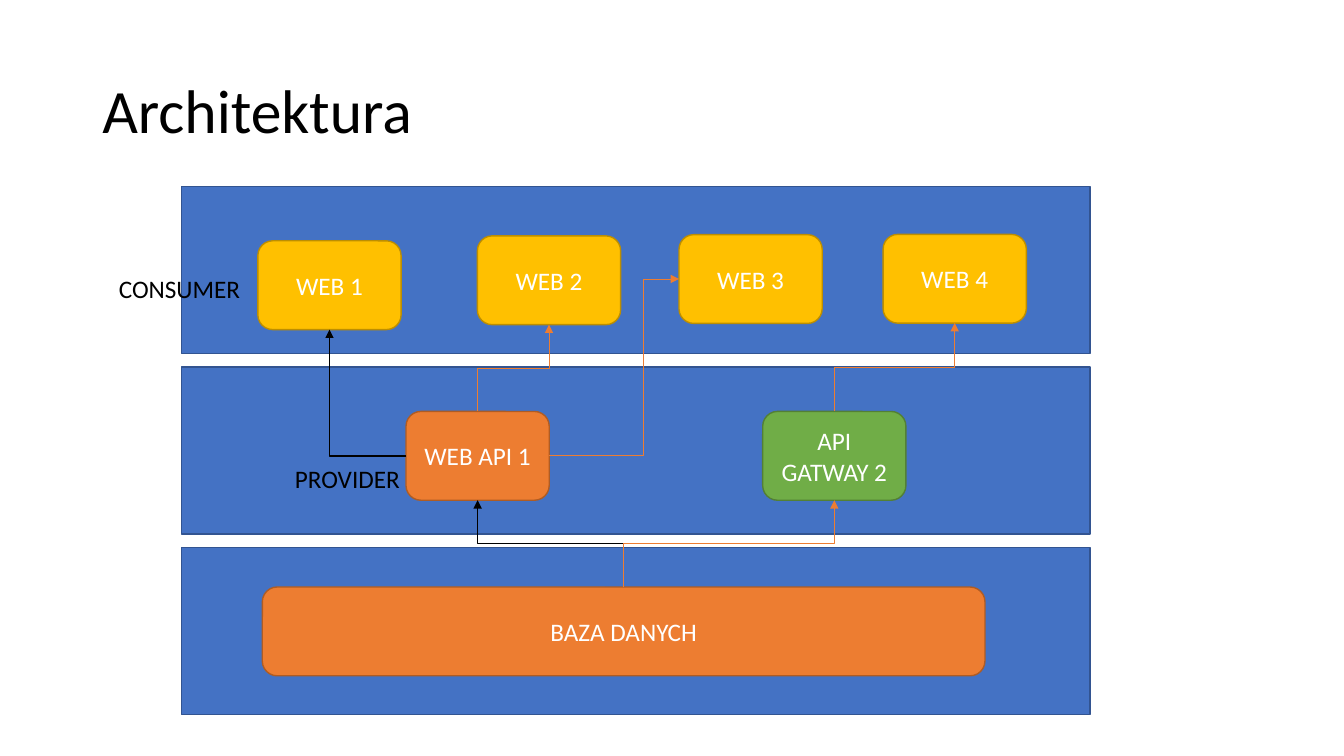
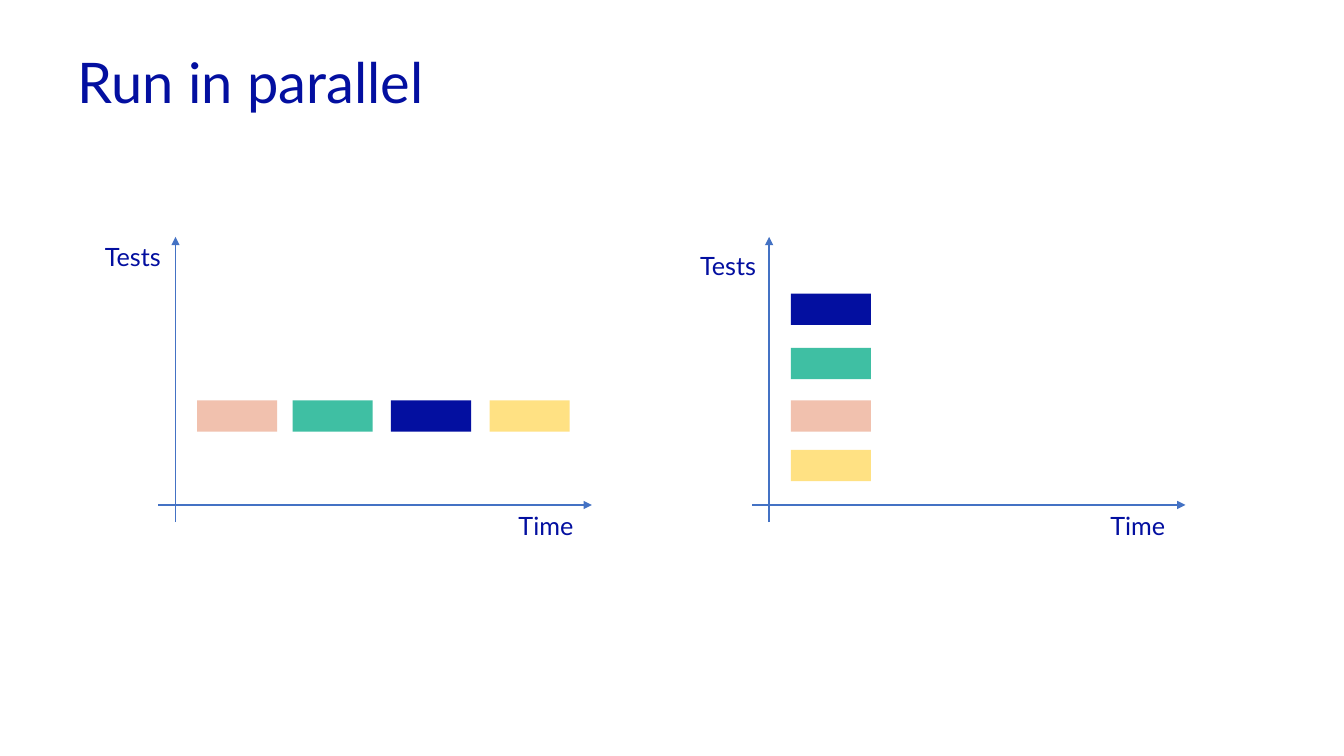
import pptx
import pptx.dml.color
import pptx.enum.shapes
import pptx.enum.text
import pptx.oxml.ns
import pptx.util
from lxml import etree

Pt = pptx.util.Pt
SHAPES = pptx.enum.shapes.MSO_SHAPE
CONNECTORS = pptx.enum.shapes.MSO_CONNECTOR
ANCHORS = pptx.enum.text.MSO_ANCHOR
ALIGNMENTS = pptx.enum.text.PP_ALIGN
qn = pptx.oxml.ns.qn

COLORS = {
    "black": "000000", "white": "FFFFFF",
    "blue": "4472C4", "blue edge": "325491",
    "gold": "FFC000", "gold edge": "BD8E00",
    "orange": "ED7D31", "orange edge": "AF5C24",
    "green": "70AD47", "green edge": "538035",
    "navy": "030FA0", "teal": "3FBFA3", "peach": "F1C1AE", "yellow": "FFE183",
}

# Connection sites of a box
TOP, LEFT, BOTTOM, RIGHT = range(4)

NODE_SIZE = (102.3, 63.4)
BAR_SIZE = (57.2, 22.4)


def rgb(name):
    return pptx.dml.color.RGBColor.from_string(COLORS[name])


def write(shape, text, font, size, color, align=ALIGNMENTS.LEFT):
    frame = shape.text_frame
    frame.word_wrap = True
    frame.text = text
    paragraph = frame.paragraphs[0]
    paragraph.alignment = align
    paragraph.font.name = font
    paragraph.font.size = Pt(size)
    paragraph.font.color.rgb = rgb(color)
    return paragraph


def add_label(slide, text, left, top, width, font, color):
    box = slide.shapes.add_textbox(Pt(left), Pt(top), Pt(width), Pt(29))
    write(box, text, font, 18, color)


def add_title(slide, text, left, height, font, size, color):
    box = slide.shapes.add_textbox(Pt(left), Pt(28.8), Pt(828), Pt(height))
    box.text_frame.vertical_anchor = ANCHORS.MIDDLE
    write(box, text, font, size, color).line_spacing = 0.9


def add_box(slide, kind, left, top, width, height, fill, edge=None):
    shape = slide.shapes.add_shape(kind, Pt(left), Pt(top), Pt(width), Pt(height))
    shape.shadow.inherit = False
    shape.fill.solid()
    shape.fill.fore_color.rgb = rgb(fill)
    if edge:
        shape.line.color.rgb = rgb(edge)
        shape.line.width = Pt(1)
    else:
        shape.line.fill.background()
    return shape


def add_node(slide, text, left, top, color, width=NODE_SIZE[0]):
    node = add_box(slide, SHAPES.FLOWCHART_ALTERNATE_PROCESS, left, top, width,
                   NODE_SIZE[1], color, color + " edge")
    node.text_frame.vertical_anchor = ANCHORS.MIDDLE
    write(node, text, "Calibri", 18, "white", ALIGNMENTS.CENTER)
    return node


def style_arrow(connector, color, width):
    connector.line.color.rgb = rgb(color)
    connector.line.width = Pt(width)
    properties = connector.element.spPr
    etree.SubElement(properties.find(qn("a:ln")), qn("a:tailEnd"), type="triangle")
    etree.SubElement(properties, qn("a:effectLst"))


def add_elbow(slide, start, start_site, end, end_site, color, width=0.5, bend=None):
    """Join two nodes with an arrow; bend is where the middle segment lies, in 1/1000 %."""
    connector = slide.shapes.add_connector(CONNECTORS.ELBOW, 0, 0, 0, 0)
    connector.begin_connect(start, start_site)
    connector.end_connect(end, end_site)
    properties = connector.element.spPr
    transform = properties.find(qn("a:xfrm"))
    geometry = properties.find(qn("a:prstGeom"))
    if start_site == TOP:
        # Leaves upwards: lay the frame on its side around the same centre
        rightwards = connector.end_x > connector.begin_x
        across, down = connector.width, connector.height
        connector.left += (across - down) // 2
        connector.top += (down - across) // 2
        connector.width, connector.height = down, across
        transform.rot = 90 if rightwards else 270
        transform.flipH, transform.flipV = rightwards, True
    elif start_site == LEFT:
        # Single corner: leftwards, then up
        geometry.set("prst", "bentConnector2")
        transform.rot = 180
        transform.flipH = transform.flipV = False
    if bend:
        adjustments = geometry.find(qn("a:avLst"))
        if adjustments is None:
            adjustments = etree.SubElement(geometry, qn("a:avLst"))
        etree.SubElement(adjustments, qn("a:gd"), name="adj1", fmla=f"val {bend}")
    style_arrow(connector, color, width)


def add_axis(slide, start, end):
    connector = slide.shapes.add_connector(
        CONNECTORS.STRAIGHT, *(Pt(value) for value in start + end))
    style_arrow(connector, "blue", 1)


def add_timeline(slide, left, bars):
    """Draw the two axes and the test bars, given as (x, y, color)."""
    add_axis(slide, (left, 360.7), (left + 309.6, 360.7))
    add_axis(slide, (left + 12.2, 373), (left + 12.2, 169.2))
    for bar_left, bar_top, color in bars:
        add_box(slide, SHAPES.RECTANGLE, bar_left, bar_top, *BAR_SIZE, color)


def build_architecture(slide):
    add_title(slide, "Architektura", 66, 104.4, "Calibri", 44, "black")

    # Layers
    for row in range(3):
        add_box(slide, SHAPES.RECTANGLE, 129.6, 133.2 + 128.9 * row, 649, 119.5,
                "blue", "blue edge")

    # Nodes
    web_1, web_2, web_3, web_4 = [
        add_node(slide, f"WEB {number}", left, top, "gold")
        for number, (left, top) in enumerate(
            [(184.2, 172), (341, 168.5), (485, 167.6), (630.8, 167.4)], 1)]
    gateway = add_node(slide, "API GATWAY 2", 544.8, 293.9, "green")
    web_api = add_node(slide, "WEB API 1", 290, 293.9, "orange")
    database = add_node(slide, "BAZA DANYCH", 187.4, 419.3, "orange", 516.2)

    # Data flow
    add_elbow(slide, database, TOP, web_api, BOTTOM, "black")
    add_elbow(slide, database, TOP, gateway, BOTTOM, "orange")
    add_elbow(slide, web_api, LEFT, web_1, BOTTOM, "black", width=1)
    add_elbow(slide, web_api, TOP, web_2, BOTTOM, "orange")
    add_elbow(slide, web_api, RIGHT, web_3, LEFT, "orange", bend=72400)
    add_elbow(slide, gateway, TOP, web_4, BOTTOM, "orange")

    # Roles
    add_label(slide, "CONSUMER", 77.8, 191.7, 113, "Calibri", "black")
    add_label(slide, "PROVIDER", 203.6, 327.5, 113, "Calibri", "black")


def build_parallel(slide):
    # Tests one after another
    add_timeline(slide, 113.2, [(140.8, 286, "peach"), (209, 286, "teal"),
                                (279.3, 286, "navy"), (349.7, 286, "yellow")])
    # Tests at the same time
    add_timeline(slide, 537.2, [(565, 286, "peach"), (565, 248.5, "teal"),
                                (565, 209.7, "navy"), (565, 321.3, "yellow")])

    # Axis names
    for text, left, top in [("Time", 363.3, 360.7), ("Time", 786, 360.7),
                            ("Tests", 67.8, 168.8), ("Tests", 493, 175.1)]:
        add_label(slide, text, left, top, 89.3, "Lato", "navy")

    add_title(slide, "Run in parallel", 48.5, 64.8, "Lato", 40, "navy")


def main():
    presentation = pptx.Presentation()
    presentation.slide_width, presentation.slide_height = Pt(960), Pt(540)
    blank_layout = presentation.slide_layouts[6]
    for build in (build_architecture, build_parallel):
        build(presentation.slides.add_slide(blank_layout))
    presentation.save("out.pptx")


if __name__ == "__main__":
    main()
